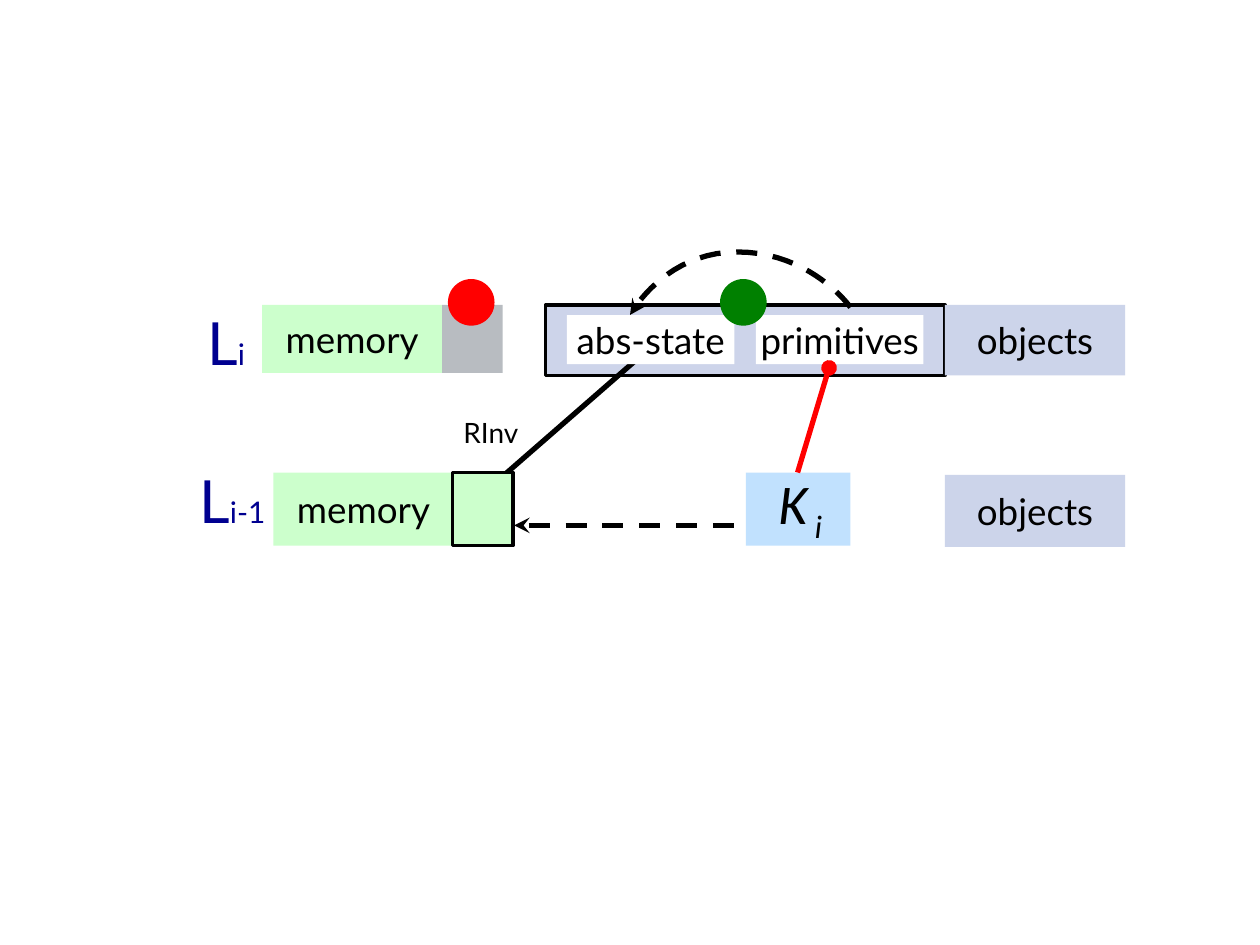
from lxml import etree
from pptx import Presentation
from pptx import util as u
from pptx.dml.color import RGBColor
from pptx.enum import dml, shapes, text
from pptx.oxml.ns import qn

THEME = dict(
    black="000000", navy="000090", white="FFFFFF", lilac="CCD4EA", panel="CDD4EA",
    mint="CCFFCC", grey="B8BCC1", sky="C1E1FE", red="FF0000", green="008000",
    font="Lato", math="Calibri", body=21, layer=34, index=17, small=16, kernel=32,
    border=2, stroke=3,
)

# Content: (text, left, top, width, height, fill, outlined)
PANEL = ("", 4.33, 2.42, 3.17, 0.56, "panel", True)
BOXES = [
    ("objects", 7.5, 2.42, 1.43, 0.56, "lilac", False),
    ("abs-state", 4.5, 2.5, 1.33, 0.39, "white", False),
    ("primitives", 6, 2.5, 1.33, 0.39, "white", False),
    ("memory", 2.08, 2.42, 1.43, 0.54, "mint", False),
    ("", 3.51, 2.42, 0.48, 0.54, "grey", False),
    ("memory", 2.17, 3.75, 1.43, 0.58, "mint", False),
    ("", 3.59, 3.75, 0.48, 0.58, "mint", True),
    ("", 5.92, 3.75, 0.83, 0.58, "sky", False),
    ("objects", 7.5, 3.77, 1.43, 0.57, "lilac", False),
]
# Layer names: (index, left, top, width, height)
LAYERS = [("i", 1.42, 2.42, 0.75, 0.58), ("i-1", 1.53, 3.67, 0.63, 0.6)]
# Dots: (centre x, centre y, fill)
DOTS = [(3.74, 2.4, "red"), (5.9, 2.4, "green")]
DOT_SIZE = 0.37
# Links: (from, to, colour, dashed, head, tail)
INVARIANT = ((3.83, 3.92), (5.08, 2.83), "black", False, None, None)
LINKS = [
    ((4.08, 4.17), (5.92, 4.17), "black", True, "stealth", None),
    ((6.33, 3.75), (6.58, 2.92), "red", False, None, "oval"),
]
# Curve from primitives to abs-state: cubic segments
ARC = [
    ((6.75, 2.44), (6.75, 2.44), (6.44, 2), (5.85, 2)),
    ((5.85, 2), (5.27, 2), (5, 2.5), (5, 2.5)),
]
ARC_STEPS = 20


def color(name):
    return RGBColor.from_string(THEME[name])


def style_run(r, size, fill="black", font="font", italic=None):
    r.font.size = u.Pt(THEME[size])
    r.font.name = THEME[font]
    r.font.color.rgb = color(fill)
    r.font.italic = italic


def stroke(sp, fill="black", dashed=False, head=None, tail=None):
    sp.line.color.rgb = color(fill)
    sp.line.width = u.Pt(THEME["stroke"])
    if dashed:
        sp.line.dash_style = dml.MSO_LINE.DASH
    ln = sp.line._get_or_add_ln()
    for tag, kind in (("a:headEnd", head), ("a:tailEnd", tail)):
        if kind:
            etree.SubElement(ln, qn(tag)).set("type", kind)


def center_text(sp):
    tf = sp.text_frame
    tf.margin_left = tf.margin_right = tf.margin_top = tf.margin_bottom = 0
    tf.word_wrap = False
    tf.vertical_anchor = text.MSO_ANCHOR.MIDDLE
    p = tf.paragraphs[0]
    p.alignment = text.PP_ALIGN.CENTER
    return p


def add_filled(s, kind, left, top, width, height, fill):
    sp = s.shapes.add_shape(kind, *map(u.Inches, (left, top, width, height)))
    sp.shadow.inherit = False
    sp.fill.solid()
    sp.fill.fore_color.rgb = color(fill)
    sp.line.fill.background()
    return sp


def add_box(s, label, left, top, width, height, fill, outlined):
    sp = add_filled(s, shapes.MSO_SHAPE.RECTANGLE, left, top, width, height, fill)
    if outlined:
        sp.line.color.rgb = color("black")
        sp.line.width = u.Pt(THEME["border"])
    if label:
        p = center_text(sp)
        p.text = label
        style_run(p.runs[0], "body")


def add_link(s, start, end, *look):
    c = s.shapes.add_connector(shapes.MSO_CONNECTOR.STRAIGHT, *map(u.Inches, start + end))
    stroke(c, *look)
    etree.SubElement(c._element.spPr, qn("a:effectLst"))


def add_textbox(s, left, top, width, height):
    sp = s.shapes.add_textbox(*map(u.Inches, (left, top, width, height)))
    sp.text_frame.word_wrap = False
    return sp


def bezier(points, t):
    weights = ((1 - t) ** 3, 3 * t * (1 - t) ** 2, 3 * t * t * (1 - t), t ** 3)
    return tuple(u.Inches(sum(w * pt[axis] for w, pt in zip(weights, points)))
                 for axis in (0, 1))


prs = Presentation()
prs.slide_width, prs.slide_height = u.Inches(10), u.Inches(7.5)
s = prs.slides.add_slide(prs.slide_layouts[6])

# Panel, with the invariant line under the white boxes
add_box(s, *PANEL)
add_link(s, *INVARIANT)
for box in BOXES:
    add_box(s, *box)

# Layer names
for index, *place in LAYERS:
    p = center_text(add_textbox(s, *place))
    for label, size in (("L", "layer"), (index, "index")):
        r = p.add_run()
        r.text = label
        style_run(r, size, "navy")

# Kernel module and invariant labels
p = add_textbox(s, 6.08, 3.67, 0.67, 0.5).text_frame.paragraphs[0]
for label in ("K", " ", "i"):
    r = p.add_run()
    r.text = label
    style_run(r, "kernel", font="math", italic=True)
p.runs[1].font.size = u.Pt(18)
p.runs[2].font._element.set("baseline", "-25000")

p = add_textbox(s, 3.58, 3.25, 0.67, 0.37).text_frame.paragraphs[0]
p.text = "RInv"
style_run(p.runs[0], "small")

# Dashed arc
curve = [bezier(seg, i / ARC_STEPS) for seg in ARC for i in range(1, ARC_STEPS + 1)]
fb = s.shapes.build_freeform(*bezier(ARC[0], 0))
fb.add_line_segments(curve, close=False)
arc = fb.convert_to_shape()
arc.shadow.inherit = False
arc.fill.background()
stroke(arc, dashed=True, tail="stealth")

# Links and status dots
for link in LINKS:
    add_link(s, *link)
for x, y, fill in DOTS:
    add_filled(s, shapes.MSO_SHAPE.OVAL, x - DOT_SIZE / 2, y - DOT_SIZE / 2,
               DOT_SIZE, DOT_SIZE, fill)

prs.save("out.pptx")
